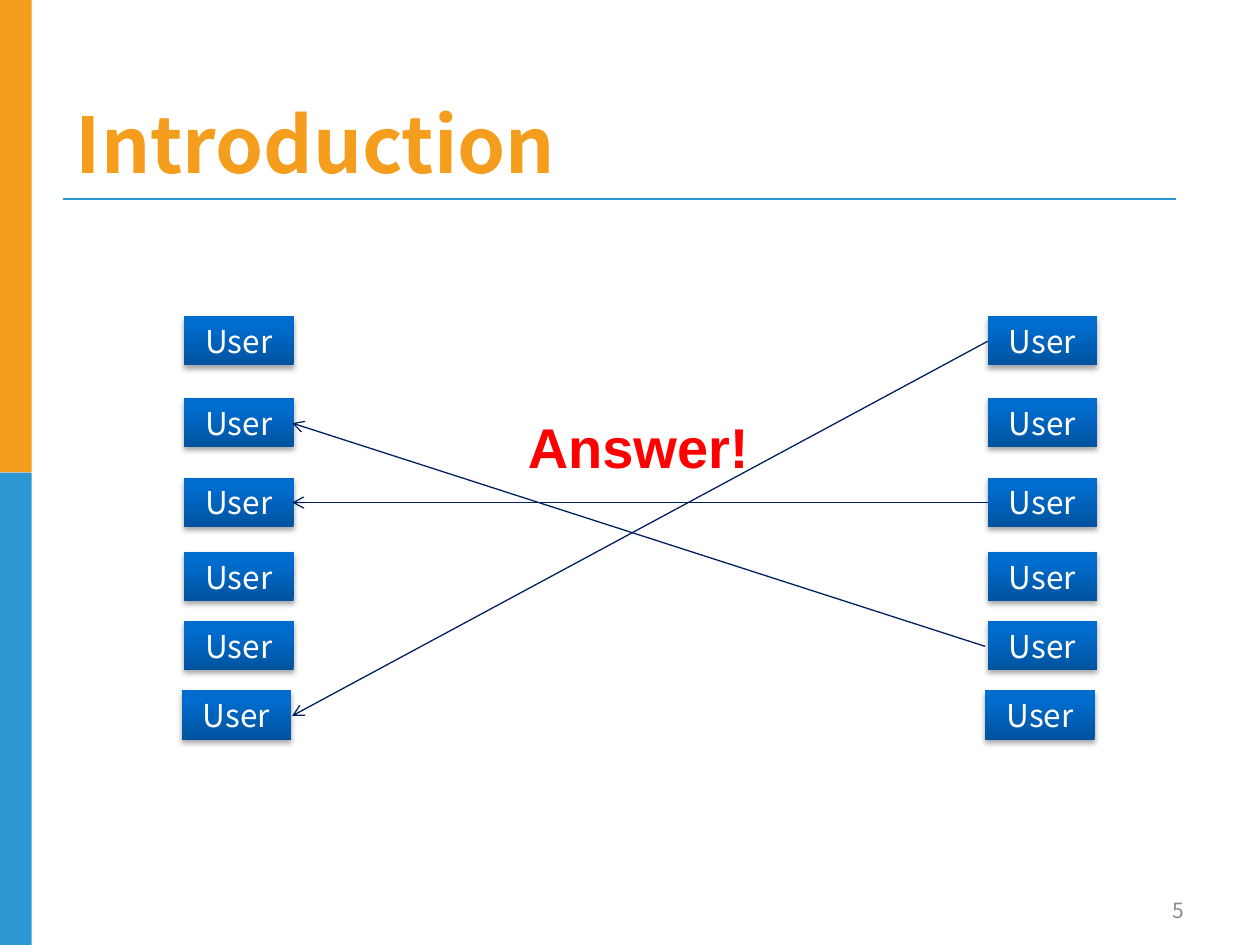
from lxml import etree
from pptx import Presentation
from pptx.dml.color import RGBColor
from pptx.enum.shapes import MSO_CONNECTOR, MSO_SHAPE
from pptx.enum.text import MSO_ANCHOR, MSO_AUTO_SIZE, PP_ALIGN
from pptx.oxml import parse_xml
from pptx.oxml.ns import qn
from pptx.util import Cm, Pt

RECTANGLE = MSO_SHAPE.RECTANGLE
STRAIGHT = MSO_CONNECTOR.STRAIGHT
BOTTOM, MIDDLE = MSO_ANCHOR.BOTTOM, MSO_ANCHOR.MIDDLE
LEFT, CENTER, RIGHT = PP_ALIGN.LEFT, PP_ALIGN.CENTER, PP_ALIGN.RIGHT

SANS = "Noto Sans CJK JP"
ORANGE, BLUE, NAVY = "F59D1C", "2D97D3", "002060"
DRAWING = 'xmlns:a="http://schemas.openxmlformats.org/drawingml/2006/main"'
GRADIENT = f"""<a:gradFill {DRAWING} rotWithShape="1"><a:gsLst>
<a:gs pos="0"><a:srgbClr val="00539F"/></a:gs>
<a:gs pos="80000"><a:srgbClr val="006CCE"/></a:gs>
<a:gs pos="100000"><a:srgbClr val="006DCF"/></a:gs>
</a:gsLst><a:lin ang="16200000" scaled="0"/></a:gradFill>"""
SHADOW = f"""<a:effectLst {DRAWING}>
<a:outerShdw blurRad="40000" dist="23000" dir="5400000" rotWithShape="0">
<a:srgbClr val="000000"><a:alpha val="35000"/></a:srgbClr>
</a:outerShdw></a:effectLst>"""


def color(value):
    return RGBColor.from_string(value)


def write(shape, text, size, font, value, align=LEFT, bold=False):
    shape.text_frame.text = text
    para = shape.text_frame.paragraphs[0]
    para.alignment = align
    para.font.size = Pt(size)
    para.font.name = font
    para.font.bold = bold
    para.font.color.rgb = color(value)


deck = Presentation()
deck.slide_width, deck.slide_height = Cm(25.4), Cm(19.05)
page = deck.slides.add_slide(deck.slide_layouts[5])

# Side bars
bar_height = deck.slide_height // 2
for row, value in enumerate((ORANGE, BLUE)):
    bar = page.shapes.add_shape(RECTANGLE, 0, row * bar_height, Cm(0.64), bar_height)
    bar.shadow.inherit = False
    bar.fill.solid()
    bar.fill.fore_color.rgb = color(value)
    bar.line.fill.background()

# Title
title = page.shapes.title
title.left, title.top, title.width, title.height = Cm(1.27), Cm(0.76), Cm(22.86), Cm(3.18)
title.text_frame.vertical_anchor = BOTTOM
write(title, "Introduction", 44, SANS, ORANGE, bold=True)

# Two columns of users, the last row set slightly to the left
user_tops = (6.38, 8.03, 9.63, 11.13, 12.52, 13.92)
for column_left in (3.71, 19.91):
    for top in user_tops:
        left = column_left - 0.05 if top == user_tops[-1] else column_left
        user = page.shapes.add_shape(RECTANGLE, Cm(left), Cm(top), Cm(2.21), Cm(0.99))
        properties = user._element.spPr
        properties.append(parse_xml(GRADIENT))
        user.line.fill.background()
        properties.append(parse_xml(SHADOW))
        user.text_frame.vertical_anchor = MIDDLE
        write(user, "User", 18, SANS, "FFFFFF", CENTER)

# Title rule and answer arrows: start, end, colour, width, arrowhead
lines = (
    (1.27, 4.01, 23.7, 4.01, BLUE, 1.5, False),
    (19.86, 13.03, 5.89, 8.53, NAVY, 0.75, True),
    (19.91, 10.13, 5.89, 10.13, NAVY, 0.75, True),
    (19.91, 6.88, 5.89, 14.43, NAVY, 0.75, True),
)
for x1, y1, x2, y2, value, width, has_arrow in lines:
    line = page.shapes.add_connector(STRAIGHT, Cm(x1), Cm(y1), Cm(x2), Cm(y2))
    line.line.color.rgb = color(value)
    line.line.width = Pt(width)
    if has_arrow:
        etree.SubElement(line.line._get_or_add_ln(), qn("a:tailEnd"), type="arrow")
    etree.SubElement(line._element.spPr, qn("a:effectLst"))

# Answer label and page number
answer = page.shapes.add_textbox(Cm(10.39), Cm(8.2), Cm(5), Cm(1.63))
write(answer, "Answer!", 32, "Arial", "FF0000", bold=True)
number = page.shapes.add_textbox(Cm(22.58), Cm(17.96), Cm(1.55), Cm(0.76))
number.text_frame.vertical_anchor = BOTTOM
write(number, "5", 12, SANS, "898989", RIGHT)
for box in (answer, number):
    box.text_frame.word_wrap = False
    box.text_frame.auto_size = MSO_AUTO_SIZE.SHAPE_TO_FIT_TEXT

deck.save("out.pptx")
